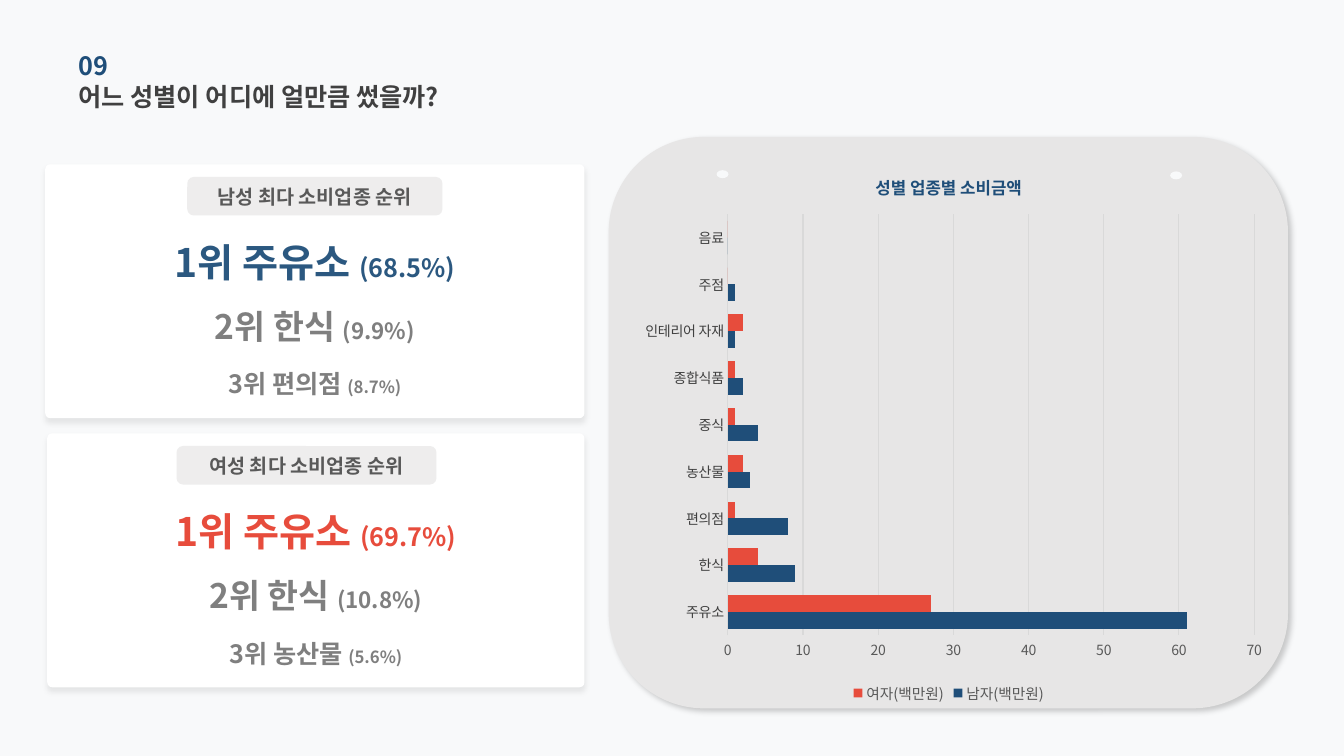
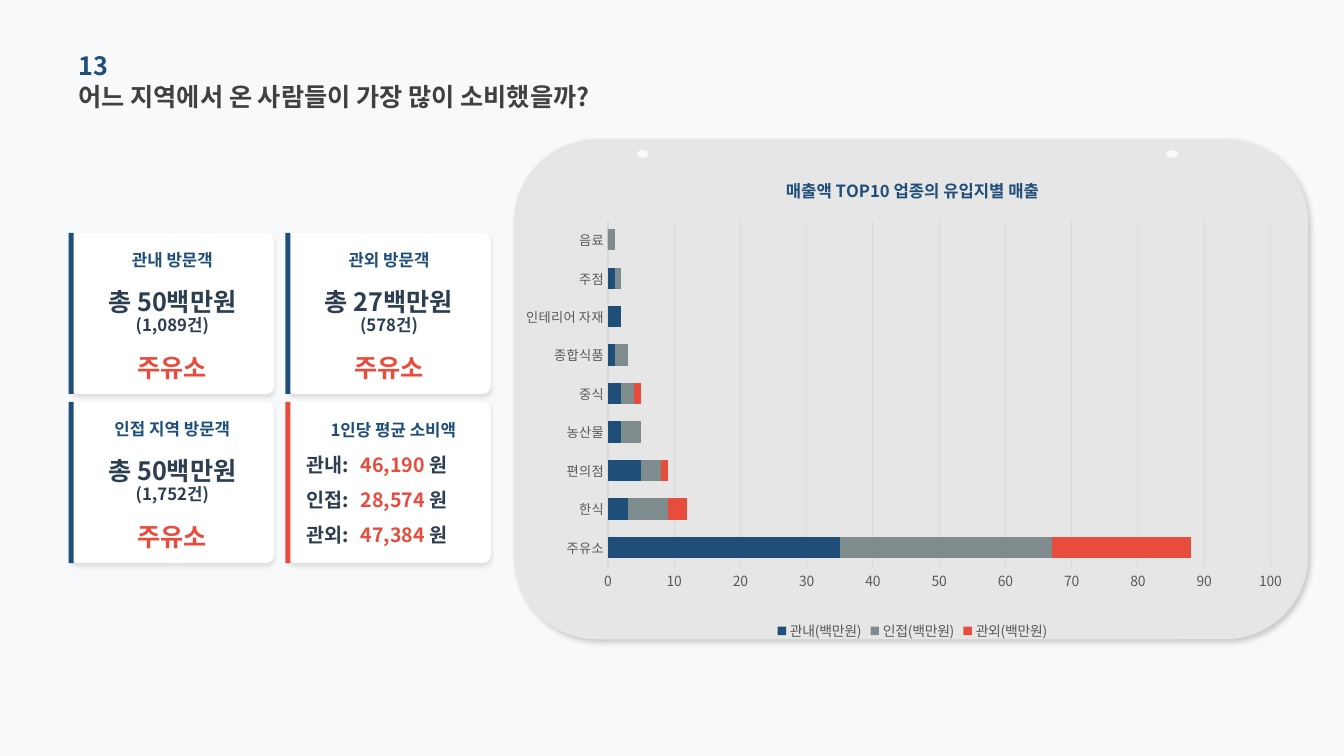
from lxml import etree
from pptx import Presentation
from pptx.chart.data import CategoryChartData
from pptx.dml.color import RGBColor
from pptx.enum.chart import XL_CHART_TYPE, XL_LEGEND_POSITION, XL_TICK_MARK
from pptx.enum.shapes import MSO_SHAPE
from pptx.enum.text import MSO_ANCHOR, PP_ALIGN
from pptx.oxml.ns import qn
from pptx.util import Cm, Pt

RECT, ROUND, OVAL = MSO_SHAPE.RECTANGLE, MSO_SHAPE.ROUNDED_RECTANGLE, MSO_SHAPE.OVAL
LEFT, CENTER = PP_ALIGN.LEFT, PP_ALIGN.CENTER
MIDDLE = MSO_ANCHOR.MIDDLE
CLUSTERED, STACKED = XL_CHART_TYPE.BAR_CLUSTERED, XL_CHART_TYPE.BAR_STACKED
BOTTOM = XL_LEGEND_POSITION.BOTTOM
NO_TICK = XL_TICK_MARK.NONE

FONT = "Noto Sans CJK KR"
COLORS = {
    "background": "F8F9FA", "panel": "E7E6E6", "white": "FFFFFF", "badge": "D0CECE",
    "navy": "1F4E79", "blue": "2B5880", "red": "E74C3C", "slate": "2C3E50",
    "teal": "7F8C8D", "title": "404040", "label": "595959", "rank": "7F7F7F",
    "grid": "D9D9D9", "black": "000000",
}
# Shadows: opacity %, blur pt, distance pt, angle
PANEL_SHADOW = (20, 4, 3, 45)
RANK_SHADOW = (8, 4, 3, 90)
STAT_SHADOW = (10, 3, 2, 90)

# Content; boxes are left, top, width, height in cm
CATEGORIES = ["주유소", "한식", "편의점", "농산물", "중식", "종합식품",
              "인테리어 자재", "주점", "음료"]
GENDER = {
    "number": "09",
    "title": "어느 성별이 어디에 얼만큼 썼을까?",
    "panel": (15.34, 3.45, 17.12, 14.4),
    "dots": [(18.06, 4.29), (29.49, 4.32)],
    "chart": {
        "type": CLUSTERED, "box": (15.72, 3.86, 16.38, 13.97),
        "title": "성별 업종별 소비금액", "plot": (0.16, 0.11, 0.81, 0.76),
        "maximum": 70, "category_style": (10, "title"), "legend_size": 10.5,
        "series": [("남자(백만원)", "navy", [61, 9, 8, 3, 4, 2, 1, 1, 0]),
                   ("여자(백만원)", "red", [27, 4, 1, 2, 1, 1, 2, 0, 0])],
    },
}
REGION = {
    "number": "13",
    "title": "어느 지역에서 온 사람들이 가장 많이 소비했을까?",
    "panel": (12.95, 3.51, 20.02, 12.6),
    "dots": [(16.05, 3.78), (29.39, 3.78)],
    "chart": {
        "type": STACKED, "box": (13.26, 3.96, 19.33, 12.29),
        "title": "매출액 TOP10 업종의 유입지별 매출", "plot": (0.1, 0.13, 0.87, 0.71),
        "maximum": 100, "category_style": (9.5, "label"), "legend_size": 10,
        "series": [("관내(백만원)", "navy", [35, 3, 5, 2, 2, 1, 2, 1, 0]),
                   ("인접(백만원)", "teal", [32, 6, 3, 3, 2, 2, 0, 1, 1]),
                   ("관외(백만원)", "red", [21, 3, 1, 0, 1, 0, 0, 0, 0])],
    },
}
RANKINGS = [
    {"box": (1.14, 4.14, 13.59, 6.4), "badge": (4.72, 6.43), "color": "blue",
     "label": "남성 최다 소비업종 순위",
     "ranks": [("1위 주유소 ", "(68.5%)"), ("2위 한식 ", "(9.9%)"), ("3위 편의점 ", "(8.7%)")]},
    {"box": (1.19, 10.92, 13.54, 6.4), "badge": (4.45, 6.55), "color": "red",
     "label": "여성 최다 소비업종 순위",
     "ranks": [("1위 주유소 ", "(69.7%)"), ("2위 한식 ", "(10.8%)"), ("3위 농산물 ", "(5.6%)")]},
]
# Rank lines: offset from card top, height, name size, share size
RANK_LINES = [(1.85, 1.22, 28, 18), (3.02, 2.13, 24, 16), (4.47, 2.13, 18, 12)]

VISITORS = [
    ("관내 방문객", "총 50백만원", "(1,089건)", "주유소"),
    ("관외 방문객", "총 27백만원", "(578건)", "주유소"),
    ("인접 지역 방문객", "총 50백만원", "(1,752건)", "주유소"),
]
AVERAGE_TITLE = "1인당 평균 소비액"
AVERAGES = [("관내:", "46,190 "), ("인접:", "28,574 "), ("관외:", "47,384 ")]
STAT_ORIGIN, STAT_PITCH, STAT_SIZE = (1.78, 5.87), (5.46, 4.26), (5.13, 4.06)


def rgb(name):
    return RGBColor.from_string(COLORS[name])


def style_font(font, size, color, bold=False):
    font.name, font.size, font.bold = FONT, Pt(size), bold
    font.color.rgb = rgb(color)


def add_east_asian_font(element):
    """Give Korean letters the same face as Latin ones."""
    for latin in list(element.iter(qn("a:latin"))):
        east_asian = etree.Element(qn("a:ea"), typeface=latin.get("typeface"))
        latin.addnext(east_asian)


def write(shape, lines, align=LEFT, spacing=None):
    """Each line is a list of (text, size, color) runs."""
    frame = shape.text_frame
    frame.word_wrap = True
    frame.vertical_anchor = MIDDLE
    frame.margin_left = frame.margin_top = frame.margin_right = frame.margin_bottom = 0
    for index, line in enumerate(lines):
        paragraph = frame.add_paragraph() if index else frame.paragraphs[0]
        paragraph.alignment = align
        paragraph.line_spacing = spacing
        for text, size, color in line:
            run = paragraph.add_run()
            run.text = text
            style_font(run.font, size, color, True)


def add_text(slide, box, lines, align=LEFT, spacing=None):
    write(slide.shapes.add_textbox(*map(Cm, box)), lines, align, spacing)


def add_block(slide, kind, box, color, radius=None, shadow=None, opacity=None):
    shape = slide.shapes.add_shape(kind, *map(Cm, box))
    shape.fill.solid()
    shape.fill.fore_color.rgb = rgb(color)
    shape.line.fill.background()
    shape.shadow.inherit = False
    if radius is not None:
        shape.adjustments[0] = radius
    properties = shape.element.spPr
    if opacity:
        fill_color = properties.find(".//" + qn("a:srgbClr"))
        etree.SubElement(fill_color, qn("a:alpha"), val=str(opacity * 1000))
    if shadow:
        strength, blur, distance, angle = shadow
        outer = etree.SubElement(
            properties.find(qn("a:effectLst")), qn("a:outerShdw"),
            blurRad=str(Pt(blur)), dist=str(Pt(distance)), dir=str(angle * 60000),
            algn="tl", rotWithShape="0")
        shadow_color = etree.SubElement(outer, qn("a:srgbClr"), val=COLORS["black"])
        etree.SubElement(shadow_color, qn("a:alpha"), val=str(strength * 1000))
    return shape


def set_plot_layout(chart, plot):
    area = chart.element.find(".//" + qn("c:plotArea"))
    for old_layout in area.findall(qn("c:layout")):
        area.remove(old_layout)
    layout = etree.Element(qn("c:layout"))
    manual = etree.SubElement(layout, qn("c:manualLayout"))
    settings = [("layoutTarget", "inner"), ("xMode", "edge"), ("yMode", "edge")]
    for tag, value in settings + list(zip("xywh", plot)):
        etree.SubElement(manual, qn("c:" + tag), val=str(value))
    area.insert(0, layout)


def add_bar_chart(slide, content):
    data = CategoryChartData(number_format="0")
    data.categories = CATEGORIES
    for name, _, values in content["series"]:
        data.add_series(name, values)
    chart = slide.shapes.add_chart(content["type"], *map(Cm, content["box"]), data).chart
    style_font(chart.font, 10, "label")

    chart.has_title = True
    title_frame = chart.chart_title.text_frame
    title_frame.text = content["title"]
    style_font(title_frame.paragraphs[0].runs[0].font, 12, "navy", True)
    chart.chart_title.include_in_layout = False
    chart.has_legend = True
    chart.legend.position = BOTTOM
    chart.legend.include_in_layout = False
    style_font(chart.legend.font, content["legend_size"], "label")

    plot = chart.plots[0]
    plot.gap_width = 80
    plot.overlap = 100 if content["type"] == STACKED else 0
    plot.vary_by_categories = False
    for series, (_, color, _) in zip(plot.series, content["series"]):
        series.format.fill.solid()
        series.format.fill.fore_color.rgb = rgb(color)

    category_axis, value_axis = chart.category_axis, chart.value_axis
    for axis in (category_axis, value_axis):
        axis.major_tick_mark = axis.minor_tick_mark = NO_TICK
    style_font(category_axis.tick_labels.font, *content["category_style"])
    style_font(value_axis.tick_labels.font, 10, "label")
    value_axis.minimum_scale, value_axis.maximum_scale = 0, content["maximum"]
    value_axis.major_unit = 10
    value_axis.has_major_gridlines = True
    value_axis.format.line.fill.background()
    for line in (category_axis.format.line, value_axis.major_gridlines.format.line):
        line.width = Pt(0.75)
        line.color.rgb = rgb("grid")
    set_plot_layout(chart, content["plot"])
    add_east_asian_font(chart.element)


def add_base_slide(presentation, content):
    """Background, heading, grey panel with pin holes, chart."""
    slide = presentation.slides.add_slide(presentation.slide_layouts[6])
    slide.background.fill.solid()
    slide.background.fill.fore_color.rgb = rgb("background")
    add_block(slide, ROUND, content["panel"], "panel", shadow=PANEL_SHADOW)
    add_text(slide, (1.98, 1.9, 13.6, 1.04), [[(content["title"], 18, "title")]])
    add_text(slide, (1.98, 1.12, 11.48, 1.04), [[(content["number"], 18, "navy")]])
    for dot in content["dots"]:
        add_block(slide, OVAL, (*dot, 0.3, 0.2), "background")
    add_bar_chart(slide, content["chart"])
    return slide


def add_ranking(slide, ranking):
    left, top, width, _ = ranking["box"]
    add_block(slide, ROUND, ranking["box"], "white", 0.02, RANK_SHADOW)
    badge_left, badge_width = ranking["badge"]
    badge = add_block(slide, ROUND, (badge_left, top + 0.32, badge_width, 0.97),
                      "badge", opacity=36)
    write(badge, [[(ranking["label"], 14, "label")]], CENTER)
    rank_colors = (ranking["color"], "rank", "rank")
    for (name, share), line, color in zip(ranking["ranks"], RANK_LINES, rank_colors):
        offset, height, name_size, share_size = line
        add_text(slide, (left, top + offset, width, height),
                 [[(name, name_size, color), (share, share_size, color)]], CENTER)


def add_stat_card(slide, index, accent):
    left, top = (STAT_ORIGIN[axis] + STAT_PITCH[axis] * step
                 for axis, step in enumerate((index % 2, index // 2)))
    add_block(slide, ROUND, (left, top, *STAT_SIZE), "white", 0.05, STAT_SHADOW)
    add_block(slide, RECT, (left - 0.05, top, 0.13, STAT_SIZE[1]), accent)
    return left, top


def add_visitors(slide):
    width = STAT_SIZE[0]
    for index, (group, total, count, shop) in enumerate(VISITORS):
        left, top = add_stat_card(slide, index, "navy")
        add_text(slide, (left, top + 0.28, width, 0.79), [[(group, 12, "navy")]], CENTER)
        add_text(slide, (left, top + 1.4, width, 1.19),
                 [[(total, 18, "slate")], [(count, 12, "slate")]], CENTER, 0.9)
        add_text(slide, (left, top + 2.8, width, 1.19), [[(shop, 18, "red")]], CENTER)


def add_averages(slide):
    left, top = add_stat_card(slide, len(VISITORS), "red")
    add_text(slide, (left + 1.09, top + 0.38, 3.8, 0.64), [[(AVERAGE_TITLE, 12, "navy")]])
    for row, (region, amount) in enumerate(AVERAGES):
        row_top = top + 1.2 + 0.88 * row
        add_text(slide, (left + 0.48, row_top, 1.5, 0.75), [[(region, 14, "slate")]])
        add_text(slide, (left + 1.85, row_top, 3.2, 0.75),
                 [[(amount, 14, "red"), ("원", 14, "slate")]])


def main():
    presentation = Presentation()
    presentation.slide_width, presentation.slide_height = Cm(33.87), Cm(19.05)

    # Spending by gender
    gender_slide = add_base_slide(presentation, GENDER)
    for ranking in RANKINGS:
        add_ranking(gender_slide, ranking)

    # Spending by visitor region
    region_slide = add_base_slide(presentation, REGION)
    add_visitors(region_slide)
    add_averages(region_slide)

    for slide in presentation.slides:
        add_east_asian_font(slide.element)
    presentation.save("out.pptx")


if __name__ == "__main__":
    main()
